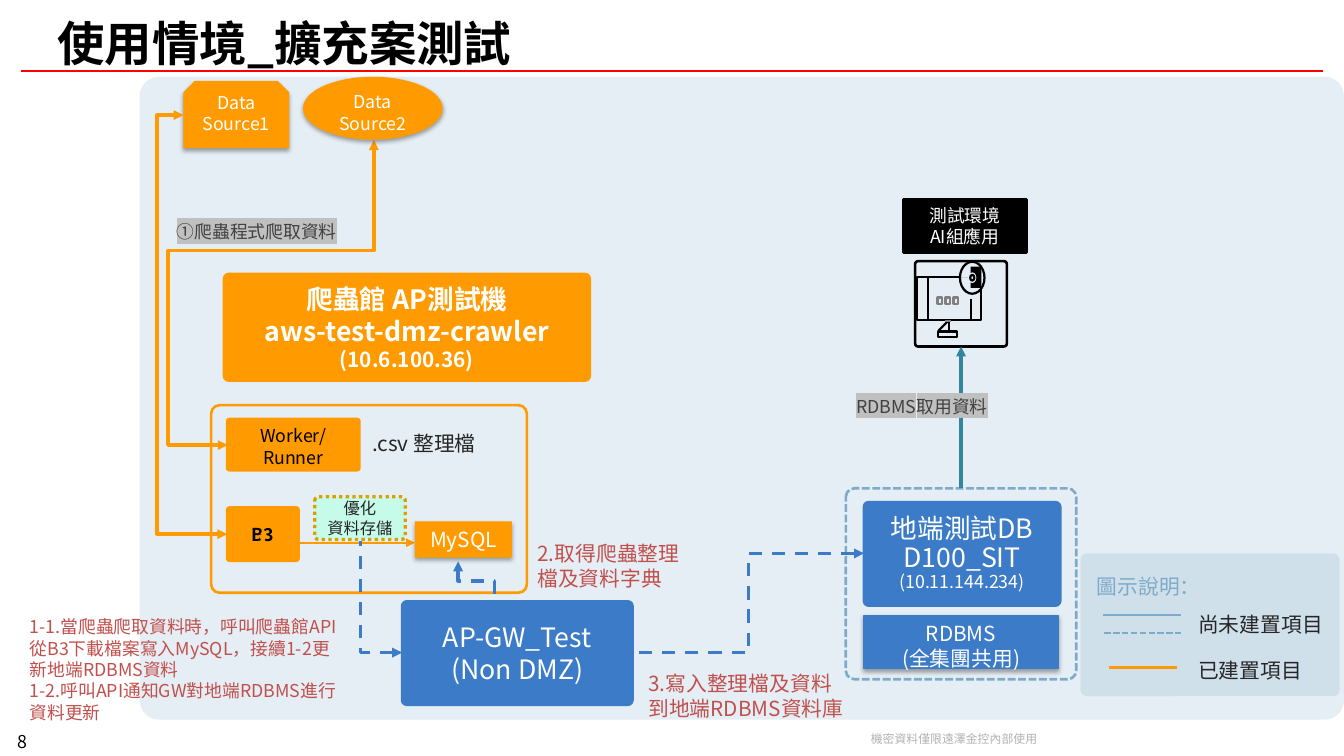
import math
from lxml import etree
from pptx import Presentation
from pptx import util as u
from pptx.dml.color import RGBColor
from pptx.enum import dml, shapes, text
from pptx.oxml import parse_xml
from pptx.oxml.ns import nsdecls, qn

T = dict(
    font="Noto Sans CJK SC", num_font="Noto Sans CJK TC",
    black="000000", white="FFFFFF", ink="262626", grey="404040", faint="B2B2B2",
    mark="C0C0C0", mid="808080", rule="FF0000", panel="E5EEF4", mist="7EABC9",
    orange="FF9B00", gold="D9A000", mint="C6FAE9", blue="3C7BC7", teal="31859C", note="C0504D",
    title=32, head=18, body=14, small=12, tiny=11, foot=8,
)
M = shapes.MSO_SHAPE
D = dml.MSO_LINE
C = text.PP_ALIGN.CENTER
L = text.PP_ALIGN.LEFT
G = u.Inches(0.1)

prs = Presentation()
prs.slide_width, prs.slide_height = int(126 * G), int(70.9 * G)
s = prs.slides.add_slide(prs.slide_layouts[6])


def box(at, txt="", kind=None, fill=None, line=None, lw=1.75, dash=None, adj=None, alpha=None,
        shadow=False, sizes=(T["body"],), color=T["white"], bold=False, al=C, mid=False,
        wrap=True, mark=None, font=T["font"], ls=None):
    x, y, w, h = (int(v * G) for v in at)
    if kind is None:
        sp = s.shapes.add_textbox(x, y, w, h)
    else:
        sp = s.shapes.add_shape(kind, x, y, w, h)
        sp.shadow.inherit = False
        if adj is not None:
            sp.adjustments[0] = adj
        if fill:
            sp.fill.solid()
            sp.fill.fore_color.rgb = RGBColor.from_string(fill)
        else:
            sp.fill.background()
        if line:
            sp.line.color.rgb = RGBColor.from_string(line)
            sp.line.width = u.Pt(lw)
            sp.line.dash_style = dash
        else:
            sp.line.fill.background()
        if alpha:
            clr = sp._element.spPr.find(qn("a:solidFill"))[0]
            etree.SubElement(clr, qn("a:alpha"), val=str(alpha * 1000))
        if shadow:
            sp._element.spPr.find(qn("a:effectLst")).append(parse_xml(
                f'<a:outerShdw {nsdecls("a")} blurRad="39370" dist="22860" dir="5400000" rotWithShape="0">'
                '<a:srgbClr val="000000"><a:alpha val="35000"/></a:srgbClr></a:outerShdw>'))
    if txt:
        tf = sp.text_frame
        tf.word_wrap = wrap
        tf.vertical_anchor = text.MSO_ANCHOR.MIDDLE if mid else text.MSO_ANCHOR.TOP
        for i, words in enumerate(txt.split("\n")):
            p = tf.paragraphs[0] if i == 0 else tf.add_paragraph()
            p.alignment = al
            p.line_spacing = ls
            r = p.add_run()
            r.text = words
            r.font.size = u.Pt(sizes[min(i, len(sizes) - 1)])
            r.font.bold = bold
            r.font.color.rgb = RGBColor.from_string(color)
            rPr = r._r.get_or_add_rPr()
            if mark:
                etree.SubElement(etree.SubElement(rPr, qn("a:highlight")), qn("a:srgbClr"), val=mark)
            r.font.name = font
            etree.SubElement(rPr, qn("a:ea"), typeface=font)
    return sp


def wire(at, color, lw, dash=None, head=False, tail=False, bend=None, rot=0, flip="", adj=()):
    x, y, w, h = (v * G for v in at)
    kind = shapes.MSO_CONNECTOR.ELBOW if bend else shapes.MSO_CONNECTOR.STRAIGHT
    cx = s.shapes.add_connector(kind, int(x), int(y), int(x + w), int(y + h))
    cx.line.color.rgb = RGBColor.from_string(color)
    cx.line.width = u.Pt(lw)
    cx.line.dash_style = dash
    spPr = cx._element.spPr
    etree.SubElement(spPr, qn("a:effectLst"))
    ln = spPr.find(qn("a:ln"))
    for name, on in (("a:headEnd", head), ("a:tailEnd", tail)):
        if on:
            etree.SubElement(ln, qn(name), type="triangle")
    if bend:
        xfrm, geom = spPr.find(qn("a:xfrm")), spPr.find(qn("a:prstGeom"))
        xfrm.set("rot", str(rot * 60000))
        for axis in flip:
            xfrm.set("flip" + axis, "1")
        geom.set("prst", f"bentConnector{bend}")
        av = geom.find(qn("a:avLst"))
        for i, v in enumerate(adj, 1):
            etree.SubElement(av, qn("a:gd"), name=f"adj{i}", fmla=f"val {round(v * 100000)}")
    return cx


soft = dict(kind=M.ROUNDED_RECTANGLE, adj=0.045)
built = dict(soft, fill=T["orange"], line=T["orange"])
planned = dict(soft, fill=T["blue"], line=T["blue"], mid=True)
source = dict(fill=T["orange"], shadow=True)
note = dict(al=L, color=T["note"])

box((0, 68.2, 4.2, 2.6), "8", sizes=(T["small"],), color=T["black"], mid=True, font=T["num_font"])
box((80.5, 68.1, 17.9, 2.3), "機密資料僅限遠澤金控內部使用", sizes=(T["foot"],), color=T["faint"], mid=True, wrap=False)
wire((2, 6.7, 122, 0), T["rule"], 1.25)
box((4.4, 0.7, 117.2, 6.6), "使用情境_擴充案測試", sizes=(T["title"],), color=T["black"], bold=True, al=L, mid=True)
box((13.1, 7.2, 112.9, 60.3), kind=M.ROUNDED_RECTANGLE, adj=0.03, fill=T["panel"])

box((101.3, 51.9, 24.3, 13.4), fill=T["mist"], alpha=20, **soft)
box((101.8, 53.3, 11.8, 5.7), "圖示說明：", color=T["mist"], wrap=False)
for x, y, w, color, dash in ((103.4, 57.7, 7.3, T["mist"], None),
                             (103.5, 59.4, 7.2, T["mist"], D.SQUARE_DOT),
                             (104, 62.6, 6.3, T["orange"], None)):
    wire((x, y, w, 0), color, 1.5, dash)
for y, label in ((56.9, "尚未建置項目"), (61.2, "已建置項目")):
    box((111.35, y, 14.3, 3.4), label, color=T["ink"], al=L)

wire((13.9, 20.6, 28.6, 13.7), T["orange"], 2.25, head=True, tail=True, bend=4, rot=90, adj=(0.363, 1.409))
box((21.3, 39.3, 12.4, 4.8), "Worker/\nRunner", sizes=(T["small"],), color=T["black"], **built)
store = box((21.3, 47.6, 6.7, 5), "B3", sizes=(T["small"],), color=T["black"], bold=True, mid=True, **built)
box((21, 25.7, 34.3, 10), "爬蟲館 AP測試機\naws-test-dmz-crawler\n(10.6.100.36)",
    sizes=(T["head"], T["head"], T["body"]), bold=True, mid=True, **built)
box((33.6, 39.9, 12.3, 3.4), ".csv 整理檔", color=T["ink"])
box((28.4, 7.2, 13.1, 5.9), "Data\nSource2", kind=M.OVAL, sizes=(T["small"],), **source)
box((17.2, 7.6, 9.9, 6.3), "Data\nSource1", kind=M.SNIP_2_SAME_RECTANGLE, sizes=(T["small"],), **source)
wire((17.2, 10.8, 4.1, 39.3), T["orange"], 2.25, head=True, tail=True, bend=3, rot=180, flip="HV", adj=(-0.606,))
box((15.6, 20.2, 17.9, 3), "①爬蟲程式爬取資料", sizes=(T["small"],), color=T["grey"], al=L, mark=T["mark"])
wire((24.65, 47.6, 0, 3.4), T["orange"], 1.25, tail=True).begin_connect(store, 0)
box((19.8, 38, 29.6, 17.6), line=T["orange"], **soft)
wire((28.1, 50.9, 10.8, 0), T["orange"], 1.25, tail=True)
box((29.5, 46.6, 8.5, 4), "優化\n資料存儲", kind=M.ROUNDED_RECTANGLE, adj=0.09, fill=T["mint"], line=T["gold"],
    lw=2.25, dash=D.ROUND_DOT, sizes=(T["tiny"],), color=T["ink"], mid=True)

screen = box((85.8, 24.5, 8.6, 8), kind=M.ROUNDED_RECTANGLE, adj=0.033, line=T["black"])
box((84.7, 18.7, 11.5, 5), "測試環境\nAI組應用", kind=M.RECTANGLE, fill=T["black"], line=T["black"], lw=2,
    sizes=(T["small"],))
gear_x, gear_y = 91.15, 26.05
teeth = []
for i in range(32):
    a, k = math.tau * (i - 0.5) / 32, 1 if i % 4 < 2 else 0.76
    teeth.append((gear_x + 0.75 * k * math.cos(a), gear_y + k * math.sin(a)))
strokes = (
    ((88.8, 26), (86.2, 26), (86.2, 30.45), (90.3, 30.45)),
    ((90, 26.4), (86.6, 26.4), (86.6, 29.7), (91.2, 29.7), (91.2, 27.5)),
    ((89.1, 26), (90, 26)),
    ((90.7, 30.4), (91.5, 30.4), (91.5, 27.4)),
    ((88.6, 30.5), (88.5, 31.1)),
    ((89.1, 30.5), (89.2, 31.1)),
    teeth,
)
for pts in strokes:
    fb = s.shapes.build_freeform(pts[0][0], pts[0][1], scale=G)
    fb.add_line_segments(pts[1:], close=pts is teeth)
    sp = fb.convert_to_shape()
    sp.shadow.inherit = False
    if pts is teeth:
        sp.fill.solid()
        sp.fill.fore_color.rgb = RGBColor.from_string(T["black"])
        sp.line.fill.background()
    else:
        sp.fill.background()
        sp.line.color.rgb = RGBColor.from_string(T["black"])
        sp.line.width = u.Pt(1.5)
box((87.95, 31.1, 1.8, 0.5), kind=M.RECTANGLE, line=T["black"], lw=1.5)
for i in range(3):
    box((87.9 + 0.75 * i, 27.9, 0.4, 0.6), kind=M.RECTANGLE, line=T["mid"], lw=1.5)
wire((88.55, 30.1, 0.65, 0), T["mid"], 1.5)
for rx, ry, fill, line in ((1.15, 1.5, None, T["black"]), (0.38, 0.5, T["panel"], None),
                           (0.19, 0.26, None, T["black"])):
    box((gear_x - rx, gear_y - ry, 2 * rx, 2 * ry), kind=M.OVAL, fill=fill, line=line, lw=1.5)

box((38.9, 48.9, 9.1, 3.4), "MySQL", kind=M.RECTANGLE, **source)
onsite = box((79.3, 45.8, 21.6, 17.9), line=T["mist"], dash=D.SQUARE_DOT, **soft)
box((81, 47.1, 18.4, 9.7), "地端測試DB\nD100_SIT\n(10.11.144.234)",
    sizes=(T["head"], T["head"], T["small"]), ls=0.9, **planned)
box((81, 57.7, 18.2, 5), "RDBMS\n(全集團共用)", kind=M.RECTANGLE, fill=T["blue"], line=T["blue"], lw=0.75, shadow=True)
fetch = wire((90.1, 32.5, 0, 13.3), T["teal"], 2.25, tail=True)
fetch.begin_connect(onsite, 0)
fetch.end_connect(screen, 2)
box((79.3, 36.6, 17.9, 3), "RDBMS取用資料", sizes=(T["small"],), color=T["grey"], al=L, mark=T["mark"])
box((37.7, 56.4, 21.6, 9.7), "AP-GW_Test\n(Non DMZ)", sizes=(T["head"],), **planned)

for at, bend, rot, flip, adj in (((59.3, 51.9, 21.7, 9.3), 3, 180, "V", (0.5,)),
                                 ((33.8, 50.7, 3.9, 10.5), 2, 180, "", ()),
                                 ((42.8, 52.8, 3.7, 3.4), 3, 270, "H", (0.5,))):
    wire(at, T["blue"], 2.25, D.DASH, head=True, bend=bend, rot=rot, flip=flip, adj=adj)

box((59.8, 62.4, 20.6, 5.7), "3.寫入整理檔及資料到地端RDBMS資料庫", **note)
box((49.4, 50.2, 16.2, 5.7), "2.取得爬蟲整理檔及資料字典", **note)
box((1.8, 57.3, 31.1, 11.1),
    "1-1.當爬蟲爬取資料時，呼叫爬蟲館API從B3下載檔案寫入MySQL，接續1-2更新地端RDBMS資料\n"
    "1-2.呼叫API通知GW對地端RDBMS進行資料更新", sizes=(T["small"],), **note)

prs.save("out.pptx")
